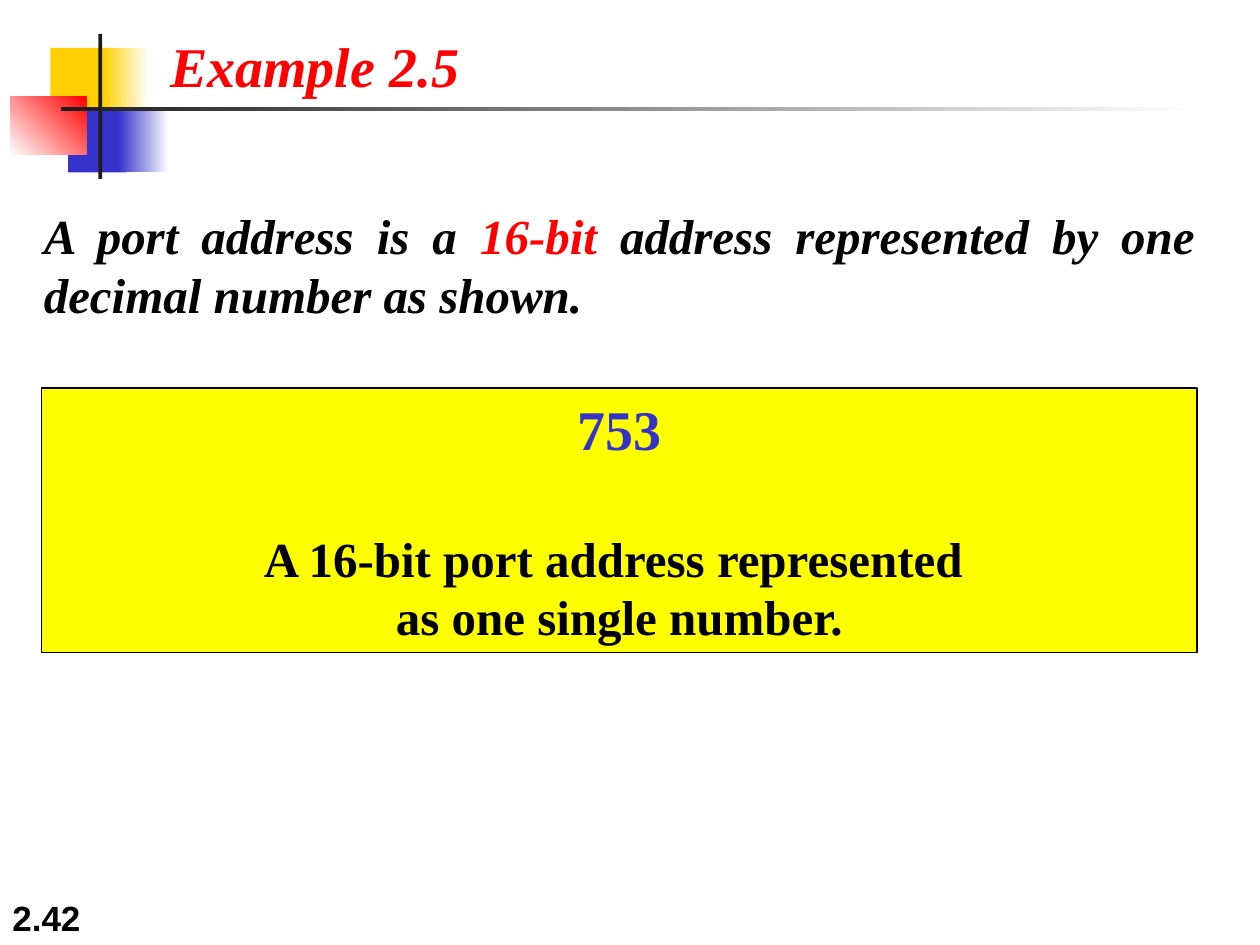
from typing import NamedTuple, Optional

from pptx import Presentation
from pptx.dml.color import RGBColor
from pptx.enum import shapes, text
from pptx.util import Pt

SERIF = "Times New Roman"
BLACK, WHITE, RED, BLUE = "000000", "FFFFFF", "FF0000", "3333CC"
GOLD, YELLOW, CHARCOAL = "FFCF01", "FFFF00", "1C1C1C"


class Block(NamedTuple):
    """A rectangle in points; end_color makes its fill a gradient."""
    left: float
    top: float
    width: float
    height: float
    color: str
    end_color: Optional[str] = None
    angle: float = 0


DECORATION = [
    Block(28.8, 27.4, 34.6, 37.4, GOLD),
    Block(59, 27.4, 25.9, 37.4, GOLD, WHITE),
    Block(38.9, 61.2, 33.1, 37.4, BLUE),
    Block(67.7, 61.2, 28.8, 37.4, BLUE, WHITE),
    Block(5.8, 55.4, 43.9, 33.1, WHITE, RED, 45),
    Block(56.2, 19.4, 2.2, 82.8, CHARCOAL),
    Block(34.6, 61.2, 648, 2.2, CHARCOAL, WHITE),
]


def rgb(color: str) -> RGBColor:
    return RGBColor.from_string(color)


def add_block(slide, block: Block):
    sp = slide.shapes.add_shape(
        shapes.MSO_SHAPE.RECTANGLE, Pt(block.left), Pt(block.top),
        Pt(block.width), Pt(block.height))
    sp.shadow.inherit = False
    sp.line.fill.background()
    if block.end_color:
        sp.fill.gradient()
        sp.fill.gradient_angle = block.angle
        for stop, color in zip(sp.fill.gradient_stops, (block.color, block.end_color)):
            stop.color.rgb = rgb(color)
    else:
        sp.fill.solid()
        sp.fill.fore_color.rgb = rgb(block.color)
    return sp


def place(sp, left: float, top: float, width: float, height: float) -> None:
    sp.left, sp.top, sp.width, sp.height = Pt(left), Pt(top), Pt(width), Pt(height)


def set_frame(sp, anchor=text.MSO_ANCHOR.TOP, wrap: bool = True):
    tf = sp.text_frame
    tf.word_wrap = wrap
    tf.auto_size = text.MSO_AUTO_SIZE.NONE
    tf.vertical_anchor = anchor
    return tf


def style(r, size: float, color: str, italic: bool = False, font: str = SERIF) -> None:
    r.font.name, r.font.size = font, Pt(size)
    r.font.bold, r.font.italic = True, italic
    r.font.color.rgb = rgb(color)


def add_title(slide) -> None:
    title = slide.shapes.title
    place(title, 90, 14.4, 180, 46.1)
    tf = set_frame(title, wrap=False)
    tf.text = "Example 2.5"
    p = tf.paragraphs[0]
    p.alignment = text.PP_ALIGN.LEFT
    p.line_spacing = 1.0
    style(p.runs[0], 32, RED, italic=True)


def add_page_number(slide) -> None:
    sp = slide.shapes.add_textbox(0, Pt(504), Pt(150), Pt(36))
    tf = set_frame(sp, text.MSO_ANCHOR.BOTTOM)
    tf.text = "2.42"
    style(tf.paragraphs[0].runs[0], 20, BLACK, font="Arial")


def add_statement(slide) -> None:
    sp = slide.shapes.add_textbox(Pt(18), Pt(113.8), Pt(671.8), Pt(74.9))
    p = set_frame(sp).paragraphs[0]
    p.alignment = text.PP_ALIGN.JUSTIFY
    for words, color in (("A port address is a ", BLACK), ("16-bit", RED),
                         (" address represented by one decimal number as shown.", BLACK)):
        r = p.add_run()
        r.text = words
        style(r, 28, color, italic=True)


def add_port_box(slide) -> None:
    sp = add_block(slide, Block(23.8, 221.8, 660.2, 151.2, YELLOW))
    sp.line.color.rgb = rgb(BLACK)
    sp.line.width = Pt(0.75)
    tf = set_frame(sp)
    tf.text = "753\nA 16-bit port address represented \vas one single number."
    number, caption = tf.paragraphs
    caption.space_before = Pt(38)
    for p, size, color in ((number, 32, BLUE), (caption, 28, BLACK)):
        p.alignment = text.PP_ALIGN.CENTER
        for r in p.runs:
            style(r, size, color)


def main() -> None:
    prs = Presentation()
    prs.slide_width, prs.slide_height = Pt(720), Pt(540)
    slide = prs.slides.add_slide(prs.slide_layouts[5])
    add_page_number(slide)
    for block in DECORATION:
        add_block(slide, block)
    add_title(slide)
    add_statement(slide)
    add_port_box(slide)
    prs.save("out.pptx")


if __name__ == "__main__":
    main()
